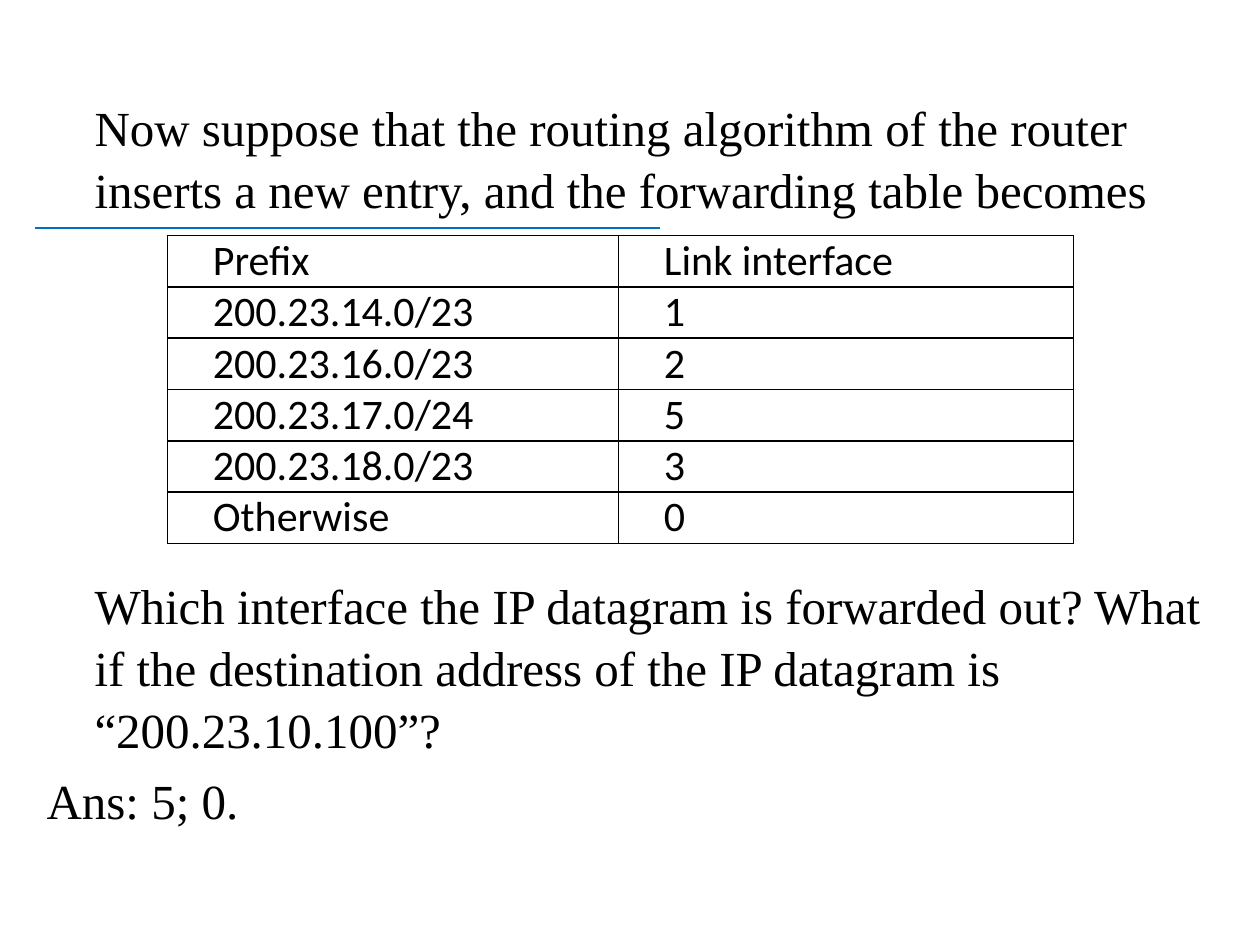
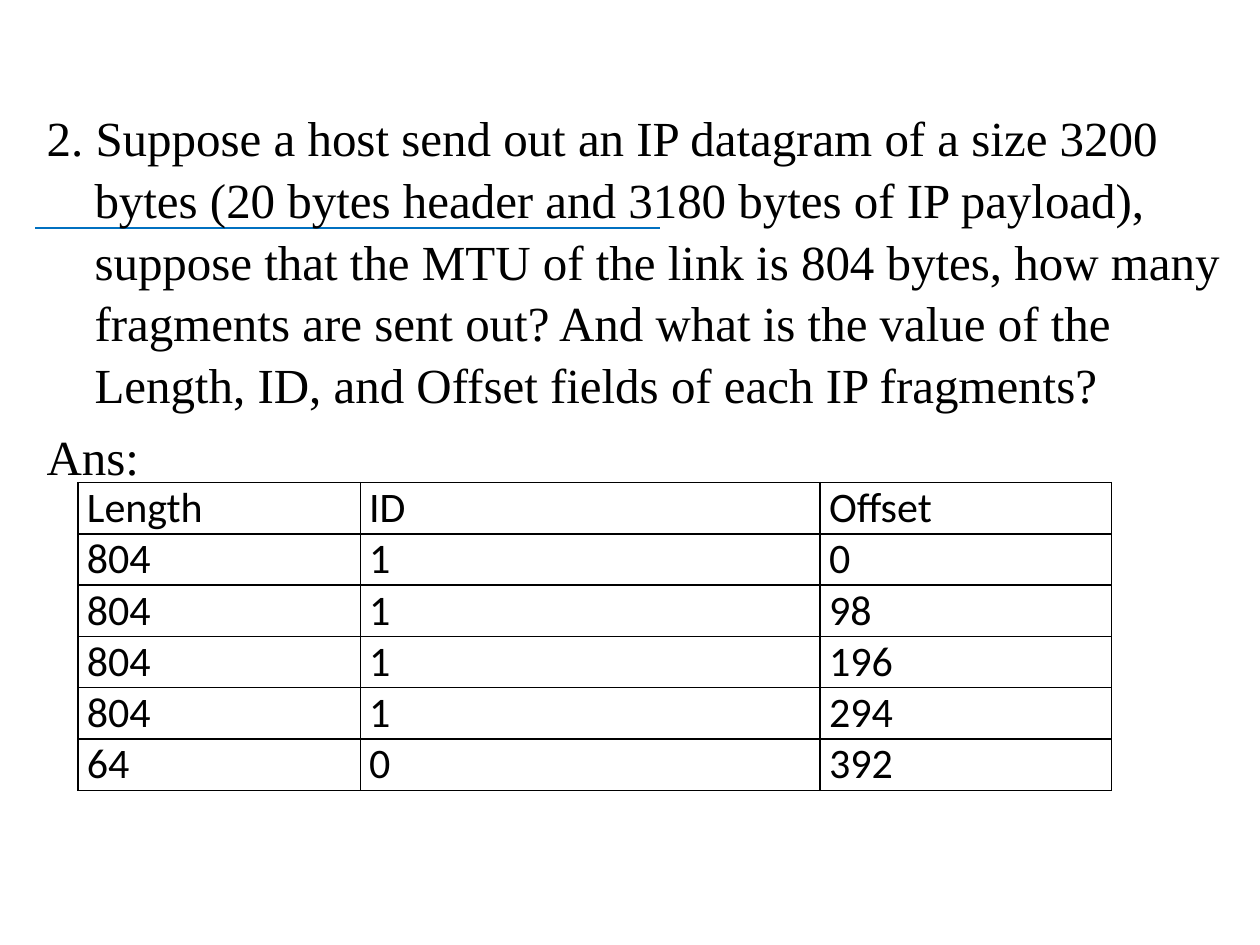
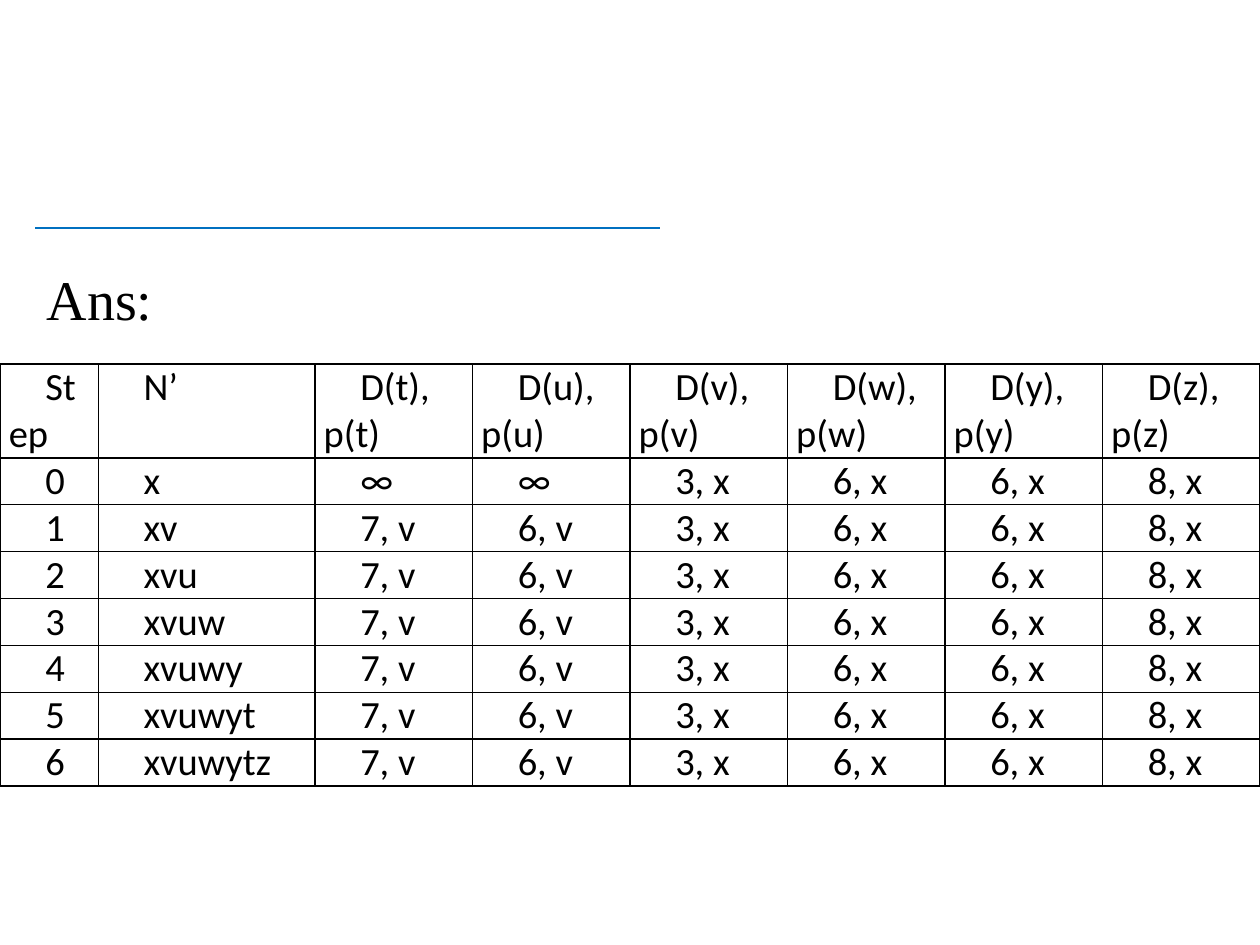
from lxml import etree
from pptx import Presentation
from pptx import util as u
from pptx.dml import color
from pptx.enum import shapes, text
from pptx.oxml import ns

WIDTH, HEIGHT = u.Inches(10), u.Inches(7.5)
COLUMNS, ROWS = 100, 75
BLACK, WHITE, BLUE = "000000", "FFFFFF", "0070C0"
BODY_FONT, TABLE_FONT = "Times New Roman", "Calibri"
BODY_LEFT, BODY_WIDTH = 2.7, 95.2
HANG, CELL_INDENT, CELL_INSET = 3.8, 2.9, 0.7
LINE_SPACING, PARAGRAPH_GAP = 1.05, 0.2


def rgb(value):
    """Return the colour of a hex string."""
    return color.RGBColor.from_string(value)


def across(columns):
    """Return the length of a number of grid columns."""
    return u.Emu(round(WIDTH * columns / COLUMNS))


def down(rows):
    """Return the length of a number of grid rows."""
    return u.Emu(round(HEIGHT * rows / ROWS))


def place(box):
    """Return left, top, width and height of a box on the grid."""
    left, top, width, height = box
    return across(left), down(top), across(width), down(height)


def child(parent, tag, **attributes):
    """Append a drawing element to its parent."""
    return etree.SubElement(parent, ns.qn(tag), **attributes)


def style_runs(paragraph, font, size):
    """Format the runs of a paragraph."""
    for run in paragraph.runs:
        run.font.name = font
        run.font.size = u.Pt(size)
        run.font.color.rgb = rgb(BLACK)


def add_rule(slide):
    """Draw the blue rule and hand it to the layout of the slide."""
    rule = slide.shapes.add_connector(
        shapes.MSO_CONNECTOR.STRAIGHT,
        across(2.8), down(18.1), across(52.4), down(18.1))
    rule.line.color.rgb = rgb(BLUE)
    rule.line.width = u.Pt(1.25)
    child(rule.element.spPr, "a:effectLst")
    slide.slide_layout.shapes.element.append(rule.element)


def add_body(slide, top, height, paragraphs, size=28):
    """Fill the body with (wording, first-line indent, lines skipped above)."""
    slide.shapes.title.element.getparent().remove(slide.shapes.title.element)
    body = slide.placeholders[1]
    body.left, body.top, body.width, body.height = place(
        (BODY_LEFT, top, BODY_WIDTH, height))
    frame = body.text_frame
    frame.text = "\n".join(wording for wording, _, _ in paragraphs)
    frame.word_wrap = True
    frame.auto_size = text.MSO_AUTO_SIZE.NONE
    frame.vertical_anchor = text.MSO_ANCHOR.TOP
    gap = size * PARAGRAPH_GAP
    pitch = size * 1.15 * LINE_SPACING + gap
    for paragraph, (_, indent, skipped) in zip(frame.paragraphs, paragraphs):
        paragraph.alignment = text.PP_ALIGN.LEFT
        paragraph.line_spacing = LINE_SPACING
        paragraph.space_before = u.Pt(round(gap + skipped * pitch, 1))
        properties = paragraph._p.get_or_add_pPr()
        properties.set("marL", str(across(HANG)))
        properties.set("indent", str(across(indent)))
        child(properties, "a:buNone")
        style_runs(paragraph, BODY_FONT, size)


def add_borders(cell):
    """Give a cell thin black borders on all sides."""
    properties = cell._tc.get_or_add_tcPr()
    for position, side in enumerate(("a:lnL", "a:lnR", "a:lnT", "a:lnB")):
        border = etree.Element(ns.qn(side), w=str(u.Pt(1)))
        child(child(border, "a:solidFill"), "a:srgbClr", val=BLACK)
        properties.insert(position, border)


def add_grid(slide, box, widths, records, size=24, indent=0,
             align=text.PP_ALIGN.JUSTIFY, header_lines=1):
    """Draw a bordered table with the given column widths and records."""
    table = slide.shapes.add_table(
        len(records), len(widths), *place(box)).table
    table.first_row = table.horz_banding = False
    line = box[3] / (len(records) - 1 + header_lines)
    for column, width in zip(table.columns, widths):
        column.width = across(width)
    for number, (row, record) in enumerate(zip(table.rows, records)):
        row.height = down(line * (1 if number else header_lines))
        for cell, value in zip(row.cells, record):
            cell.text_frame.text = value
            cell.fill.background()
            cell.margin_left = cell.margin_right = across(CELL_INSET)
            cell.margin_top = cell.margin_bottom = 0
            paragraph = cell.text_frame.paragraphs[0]
            paragraph.alignment = align
            paragraph._p.get_or_add_pPr().set("indent", str(across(indent)))
            style_runs(paragraph, TABLE_FONT, size)
            add_borders(cell)


def forwarding_slide(slide):
    """Build the question on the forwarding table."""
    add_body(slide, 7, 60, [
        ("Now suppose that the routing algorithm of the router inserts a new "
         "entry, and the forwarding table becomes", 0, 0),
        ("Which interface the IP datagram is forwarded out? What if the "
         "destination address of the IP datagram is “200.23.10.100”?", 0, 5),
        ("Ans: 5; 0.", -HANG, 0)])
    add_grid(slide, (13.3, 18.7, 71.9, 24), (35.8, 36.1), [
        ("Prefix", "Link interface"),
        ("200.23.14.0/23", "1"),
        ("200.23.16.0/23", "2"),
        ("200.23.17.0/24", "5"),
        ("200.23.18.0/23", "3"),
        ("Otherwise", "0")], indent=CELL_INDENT)


def fragment_slide(slide):
    """Build the question on IP fragments."""
    add_body(slide, 7.8, 59.3, [
        ("2. Suppose a host send out an IP datagram of a size 3200 bytes (20 "
         "bytes header and 3180 bytes of IP payload), suppose that the MTU of "
         "the link is 804 bytes, how many fragments are sent out? And what is "
         "the value of the Length, ID, and Offset fields of each IP "
         "fragments?", -HANG, 0),
        ("Ans: ", -HANG, 0)])
    full_fragments = [("804", "1", str(98 * step)) for step in range(4)]
    add_grid(slide, (6.2, 38.3, 82, 24), (22.4, 36.5, 23.1),
             [("Length", "ID", "Offset"), *full_fragments,
              ("64", "0", "392")])


def shortest_path_slide(slide):
    """Build the answer with the steps of the shortest-path search."""
    add_body(slide, 20.2, 46.9, [("Ans: ", -HANG, 0)], size=32)
    header = ("Step", "N’", *(f"D({node}), p({node})" for node in "tuvwyz"))
    visited = "xvuwytz"
    settled = ("3, x", "6, x", "6, x", "8, x")
    steps = [(str(step), visited[:step + 1],
              *(("7, v", "6, v") if step else ("∞", "∞")), *settled)
             for step in range(len(visited))]
    add_grid(slide, (0, 28.9, 100, 33), (7.8, 17.2) + (12.5,) * 6,
             [header, *steps], size=22, indent=CELL_INDENT,
             align=text.PP_ALIGN.LEFT, header_lines=2)


def build():
    """Build and save the presentation."""
    deck = Presentation()
    deck.slide_width, deck.slide_height = WIDTH, HEIGHT
    background = deck.slide_master.background.fill
    background.solid()
    background.fore_color.rgb = rgb(WHITE)
    content_layout = deck.slide_layouts[1]
    for fill_slide in (forwarding_slide, fragment_slide, shortest_path_slide):
        fill_slide(deck.slides.add_slide(content_layout))
    add_rule(deck.slides[0])
    deck.save("out.pptx")


build()
